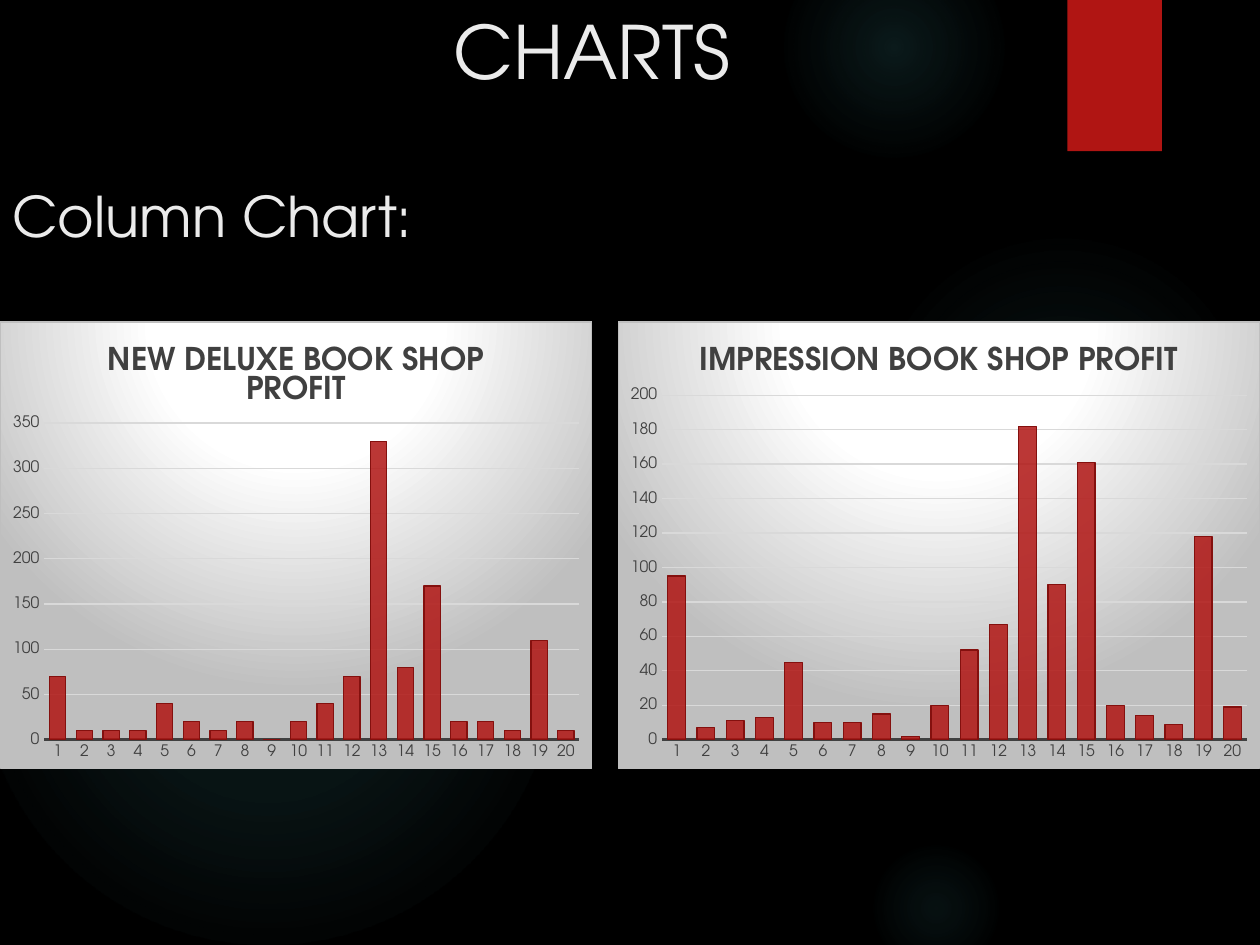
from lxml import etree
from pptx import Presentation
from pptx.chart.data import CategoryChartData
from pptx.dml.color import RGBColor
from pptx.enum import chart as ch, shapes, text
from pptx.oxml import parse_xml
from pptx.oxml.ns import nsdecls, qn
from pptx.util import Pt

FONT = "TeX Gyre Adventor"
BLACK = RGBColor(0x00, 0x00, 0x00)
WHITE = RGBColor(0xFF, 0xFF, 0xFF)
PALE = RGBColor(0xEB, 0xEB, 0xEB)
RED = RGBColor(0xB0, 0x15, 0x13)
DARK_RED = RGBColor(0x84, 0x10, 0x0E)
TEAL = RGBColor(0x50, 0xB9, 0xC1)
SILVER = RGBColor(0xBF, 0xBF, 0xBF)
GRID = RGBColor(0xD9, 0xD9, 0xD9)
CHARCOAL = RGBColor(0x40, 0x40, 0x40)

GLOWS = [
    (496, 132, 222, [(0, 7), (36, 6), (69, 0)]),
    (448, -36, 126, [(0, 14), (36, 7), (73, 0)]),
    (496, 480, 78, [(0, 9), (36, 5), (66, 0)]),
    (-12, 210, 330, [(0, 11), (36, 10), (75, 0)]),
    (-66, 228, 186, [(0, 8), (36, 8), (72, 0)]),
]
DELUXE = [70, 10, 10, 10, 40, 20, 10, 20, 0, 20,
          40, 70, 330, 80, 170, 20, 20, 10, 110, 10]
IMPRESSION = [95, 7, 11, 13, 45, 10, 10, 15, 2, 20,
              52, 67, 182, 90, 161, 20, 14, 9, 118, 19]


def radial(stops, top=50, bottom=50):
    """Return a circular gradient fill from (position, colour, opacity) stops."""
    gs = "".join(
        f'<a:gs pos="{pos * 1000}"><a:srgbClr val="{color}">'
        f'<a:alpha val="{alpha * 1000}"/></a:srgbClr></a:gs>'
        for pos, color, alpha in stops)
    return parse_xml(
        f'<a:gradFill {nsdecls("a")} rotWithShape="1"><a:gsLst>{gs}</a:gsLst>'
        f'<a:path path="circle"><a:fillToRect l="50000" t="{top * 1000}" '
        f'r="50000" b="{bottom * 1000}"/></a:path></a:gradFill>')


def add_backdrop(s):
    """Paint the black background, the teal glows and the red tab."""
    fill = s.background.fill
    fill.solid()
    fill.fore_color.rgb = BLACK
    for x, y, size, stops in GLOWS:
        sp = s.shapes.add_shape(shapes.MSO_SHAPE.OVAL, Pt(x), Pt(y), Pt(size), Pt(size))
        sp._element.spPr.insert(2, radial([(pos, TEAL, a) for pos, a in stops]))
        sp.line.fill.background()
        sp.shadow.inherit = False
    tab = s.shapes.add_shape(shapes.MSO_SHAPE.RECTANGLE, Pt(610), Pt(0), Pt(54), Pt(86.4))
    tab.fill.solid()
    tab.fill.fore_color.rgb = RED
    tab.line.fill.background()
    tab.shadow.inherit = False


def add_heading(s, x, y, w, h):
    """Write the indented title and the subtitle below it."""
    tf = s.shapes.add_textbox(Pt(x), Pt(y), Pt(w), Pt(h)).text_frame
    tf.word_wrap = True
    tf.vertical_anchor = text.MSO_ANCHOR.TOP
    tf.margin_top, tf.margin_bottom = Pt(3.5), 0
    title, subtitle = tf.paragraphs[0], tf.add_paragraph()
    title._p.get_or_add_pPr().set("marL", str(Pt(252)))
    subtitle.space_before = Pt(50)
    for p, words, size in ((title, "CHARTS", 42), (subtitle, "Column Chart:", 32)):
        p.text = words
        style_font(p.runs[0].font, size, PALE)


def style_font(font, size, color, bold=False):
    """Set face, size, colour and weight of a font."""
    font.name = FONT
    font.size = Pt(size)
    font.bold = bold
    font.color.rgb = color


def style_axes(chart, top, step):
    """Format both axes and the horizontal grid."""
    cat, val = chart.category_axis, chart.value_axis
    for axis in (cat, val):
        axis.major_tick_mark = axis.minor_tick_mark = ch.XL_TICK_MARK.NONE
        style_font(axis.tick_labels.font, 9, CHARCOAL)
    cat.format.line.color.rgb = CHARCOAL
    cat.format.line.width = Pt(1.5)
    val.format.line.fill.background()
    val.minimum_scale, val.maximum_scale, val.major_unit = 0, top, step
    val.has_major_gridlines = True
    grid = val.major_gridlines.format.line
    grid.color.rgb = GRID
    grid.width = Pt(0.75)


def set_plot_area(chart, w, h, head):
    """Fix the inner plot area, leaving head points above it for the title."""
    left, right, foot = 25, 7, 16.5
    layout = {"x": left / w, "y": head / h,
              "w": (w - left - right) / w, "h": (h - head - foot) / h}
    edges = "".join(f'<c:{k}Mode val="edge"/>' for k in "xy")
    sizes = "".join(f'<c:{k} val="{v:.4f}"/>' for k, v in layout.items())
    area = chart._chartSpace.chart.plotArea
    for old in area.findall(qn("c:layout")):
        area.remove(old)
    area.insert(0, parse_xml(
        f'<c:layout {nsdecls("c")}><c:manualLayout><c:layoutTarget val="inner"/>'
        f'{edges}{sizes}</c:manualLayout></c:layout>'))


def set_chart_panel(chart):
    """Give the chart a white to silver gradient and a thin border."""
    panel = parse_xml(
        f'<c:spPr {nsdecls("c", "a")}><a:ln w="{Pt(0.75)}"><a:solidFill>'
        f'<a:srgbClr val="{SILVER}"/></a:solidFill></a:ln></c:spPr>')
    stops = [(0, WHITE, 100), (39, WHITE, 100), (100, SILVER, 100)]
    panel.insert(0, radial(stops, -80, 180))
    chart._chartSpace.chart.addnext(panel)


def add_profit_chart(s, x, y, w, h, title, values, top, step, head):
    """Add one shop's column chart in the given box."""
    data = CategoryChartData()
    data.categories = [str(n) for n in range(1, len(values) + 1)]
    data.add_series("Series 1", values)
    chart = s.shapes.add_chart(ch.XL_CHART_TYPE.COLUMN_CLUSTERED,
                               Pt(x), Pt(y), Pt(w), Pt(h), data).chart
    style_font(chart.font, 10, WHITE)
    chart.has_legend = False
    chart.has_title = True
    tf = chart.chart_title.text_frame
    tf.text = title
    style_font(tf.paragraphs[0].runs[0].font, 18, CHARCOAL, True)
    chart.chart_title.include_in_layout = False
    style_axes(chart, top, step)
    set_plot_area(chart, w, h, head)
    set_chart_panel(chart)
    plot = chart.plots[0]
    plot.gap_width = 65
    plot.vary_by_categories = False
    bars = plot.series[0]
    bars.invert_if_negative = False
    bars.format.fill.solid()
    bars.format.fill.fore_color.rgb = RED
    color = bars._element.spPr.find(qn("a:solidFill")).find(qn("a:srgbClr"))
    etree.SubElement(color, qn("a:alpha")).set("val", "85000")
    bars.format.line.color.rgb = DARK_RED
    bars.format.line.width = Pt(0.75)


def main():
    """Build and save the slide."""
    prs = Presentation()
    prs.slide_width, prs.slide_height = Pt(720), Pt(540)
    s = prs.slides.add_slide(prs.slide_layouts[6])
    add_backdrop(s)
    add_heading(s, 0, 0, 715, 146)
    add_profit_chart(s, 0, 183.6, 338.4, 256, "NEW DELUXE BOOK SHOP PROFIT",
                     DELUXE, 350, 50, 58)
    add_profit_chart(s, 353, 183.6, 367, 256, "IMPRESSION BOOK SHOP PROFIT",
                     IMPRESSION, 200, 20, 42)
    prs.save("out.pptx")


if __name__ == "__main__":
    main()
